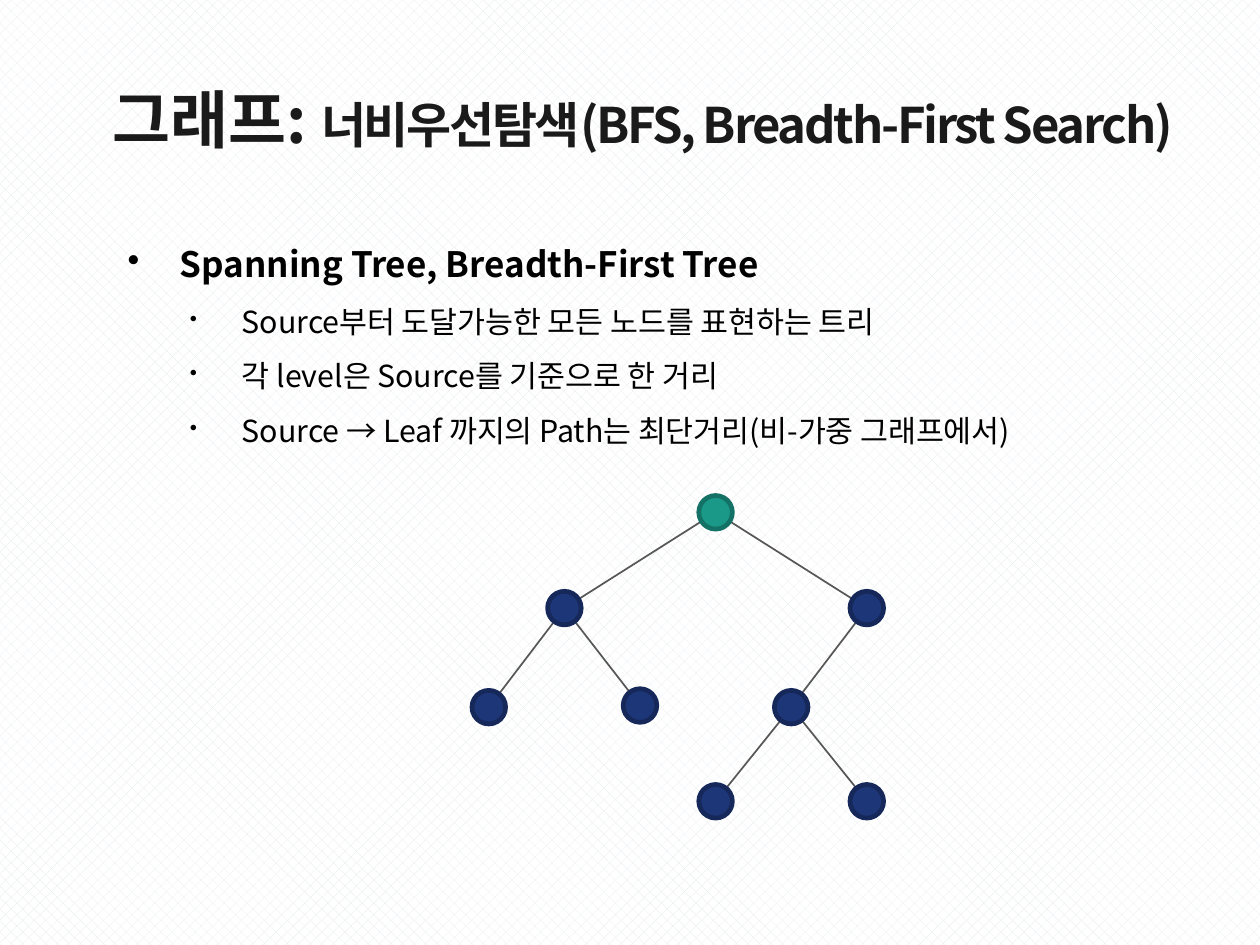
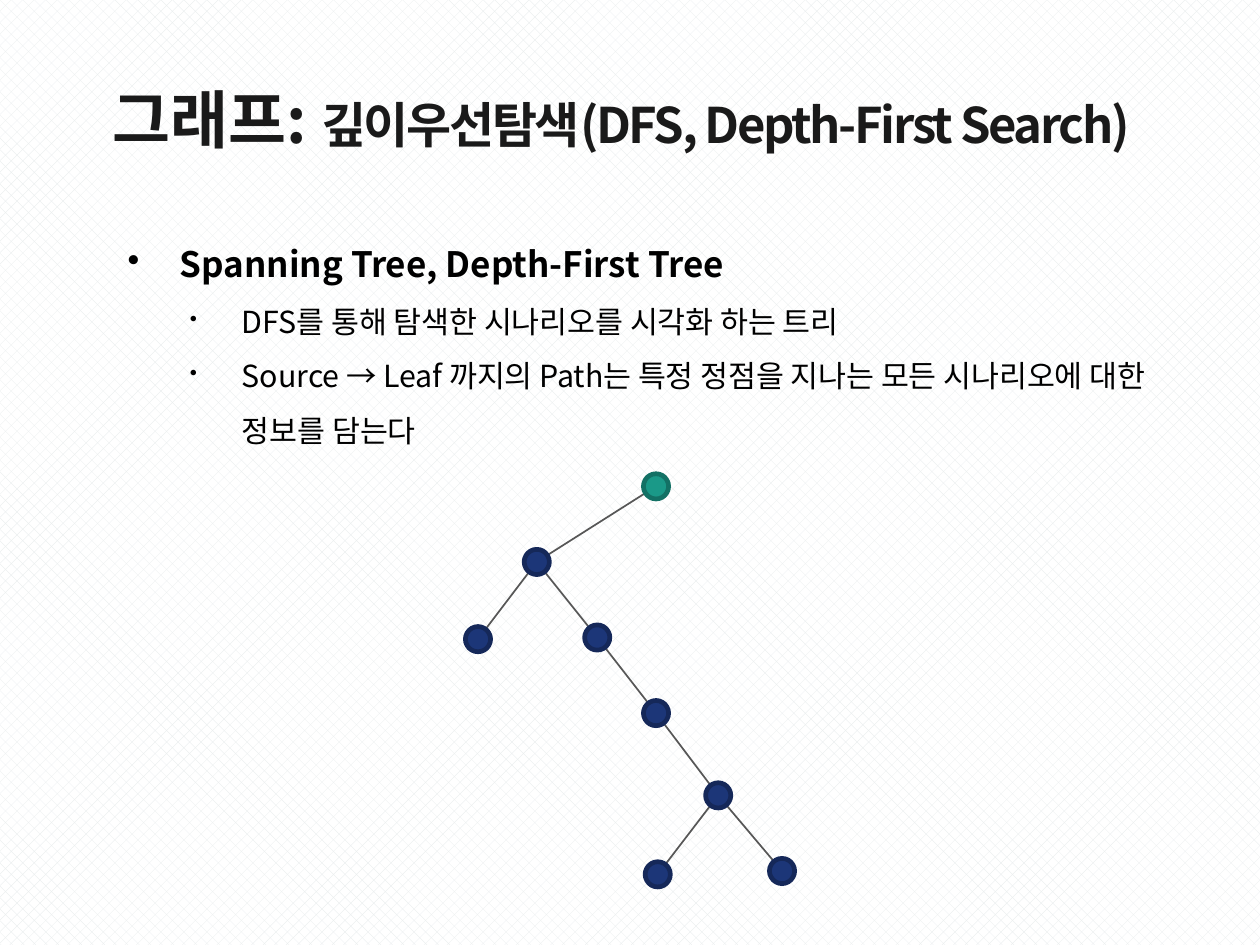
"""Two slides on graph search: breadth-first and depth-first trees."""
from lxml.etree import SubElement
from pptx import Presentation
from pptx.dml.color import RGBColor as RGB
from pptx.enum.dml import MSO_PATTERN as Pattern
from pptx.enum.shapes import MSO_CONNECTOR as Line, MSO_SHAPE as Shape
from pptx.enum.text import MSO_ANCHOR as Anchor
from pptx.oxml.ns import qn
from pptx.util import Inches, Pt

FONT = "Noto Sans CJK KR"
HUES = {
    "paper": "FFFFFF", "weave": "E9EDEE", "title": "1A1A1A", "text": "000000",
    "edge": "575757", "root": "1A9988", "root_rim": "137165",
    "node": "1C3678", "node_rim": "152859",
}
INK = {name: RGB.from_string(code) for name, code in HUES.items()}

SLIDES = [
    {
        "title": "너비우선탐색(BFS, Breadth-First Search)",
        "head": "Spanning Tree, Breadth-First Tree",
        "points": [
            "Source부터 도달가능한 모든 노드를 표현하는 트리",
            "각 level은 Source를 기준으로 한 거리",
            "Source → Leaf 까지의 Path는 최단거리(비-가중 그래프에서)",
        ],
        "size": 0.2,
        "nodes": [(4.16, 2.95), (3.26, 3.52), (5.06, 3.52), (3.71, 4.1),
                  (2.81, 4.11), (4.61, 4.11), (5.06, 4.67), (4.16, 4.67)],
        "edges": [(0, 1), (0, 2), (1, 3), (1, 4), (2, 5), (5, 6), (5, 7)],
    },
    {
        "title": "깊이우선탐색(DFS, Depth-First Search)",
        "head": "Spanning Tree, Depth-First Tree",
        "points": [
            "DFS를 통해 탐색한 시나리오를 시각화 하는 트리",
            "Source → Leaf 까지의 Path는 특정 정점을 지나는 모든 시나리오에 대한 정보를 담는다",
        ],
        "size": 0.15,
        "nodes": [(3.83, 2.82), (3.12, 3.27), (3.48, 3.72), (2.77, 3.73),
                  (3.83, 4.17), (4.2, 4.66), (3.84, 5.13), (4.58, 5.11)],
        "edges": [(0, 1), (1, 2), (1, 3), (2, 4), (4, 5), (5, 6), (5, 7)],
    },
]


def add_box(slide, left, top, width, height):
    box = slide.shapes.add_textbox(*map(Inches, (left, top, width, height)))
    frame = box.text_frame
    frame.word_wrap = True
    frame.margin_left = frame.margin_right = Inches(0.07)
    frame.margin_top = frame.margin_bottom = Inches(0.07)
    return frame


def set_font(para, hue, bold, size=None):
    font = para.font
    font.name, font.bold = FONT, bold
    font.color.rgb = INK[hue]
    if size:
        font.size = Pt(size)
    props = para._p.pPr.find(qn("a:defRPr"))
    props.set("kern", "0")
    SubElement(props, qn("a:ea"), typeface=FONT)


deck = Presentation()
deck.slide_width = Inches(7.5)
deck.slide_height = deck.slide_width * 3 // 4

for data in SLIDES:
    slide = deck.slides.add_slide(deck.slide_layouts[6])
    fill = slide.background.fill
    fill.patterned()
    fill.pattern = Pattern.PERCENT_50
    fill.fore_color.rgb, fill.back_color.rgb = INK["weave"], INK["paper"]

    frame = add_box(slide, 0.6, 0.34, 6.9, 0.66)
    frame.vertical_anchor = Anchor.MIDDLE
    para = frame.paragraphs[0]
    para.line_spacing = 1.15
    set_font(para, "title", True)
    for text, size in (("그래프: ", 27), (data["title"], 21)):
        run = para.add_run()
        run.text, run.font.size = text, Pt(size)
    run.font._element.set("spc", "-100")

    frame = add_box(slide, 0.6, 1, 6.31, 4.29)
    for i, text in enumerate([data["head"], *data["points"]]):
        para = frame.add_paragraph() if i else frame.paragraphs[0]
        para.text = text
        para.level = 1 if i else 0
        para.line_spacing = 1.5 if i else 2.5
        props = para._p.get_or_add_pPr()
        props.set("marL", str(Inches(0.77 if i else 0.4)))
        props.set("indent", str(Inches(-0.31)))
        tint = SubElement(props, qn("a:buClr"))
        SubElement(tint, qn("a:srgbClr"), val=HUES["text"])
        if i:
            SubElement(props, qn("a:buSzPct"), val="70000")
        SubElement(props, qn("a:buChar"), char="•")
        set_font(para, "text", not i, 13 if i else 15)

    size = data["size"]
    mids = [(x + size / 2, y + size / 2) for x, y in data["nodes"]]
    for start, end in data["edges"]:
        ends = map(Inches, mids[start] + mids[end])
        edge = slide.shapes.add_connector(Line.STRAIGHT, *ends)
        edge.line.color.rgb, edge.line.width = INK["edge"], Pt(0.75)
        SubElement(edge._element.spPr, qn("a:effectLst"))

    for i, (x, y) in enumerate(data["nodes"]):
        kind = "node" if i else "root"
        node = slide.shapes.add_shape(
            Shape.OVAL, Inches(x), Inches(y), Inches(size), Inches(size))
        node.shadow.inherit = False
        node.fill.solid()
        node.fill.fore_color.rgb = INK[kind]
        node.line.color.rgb, node.line.width = INK[kind + "_rim"], Pt(2)

deck.save("out.pptx")
